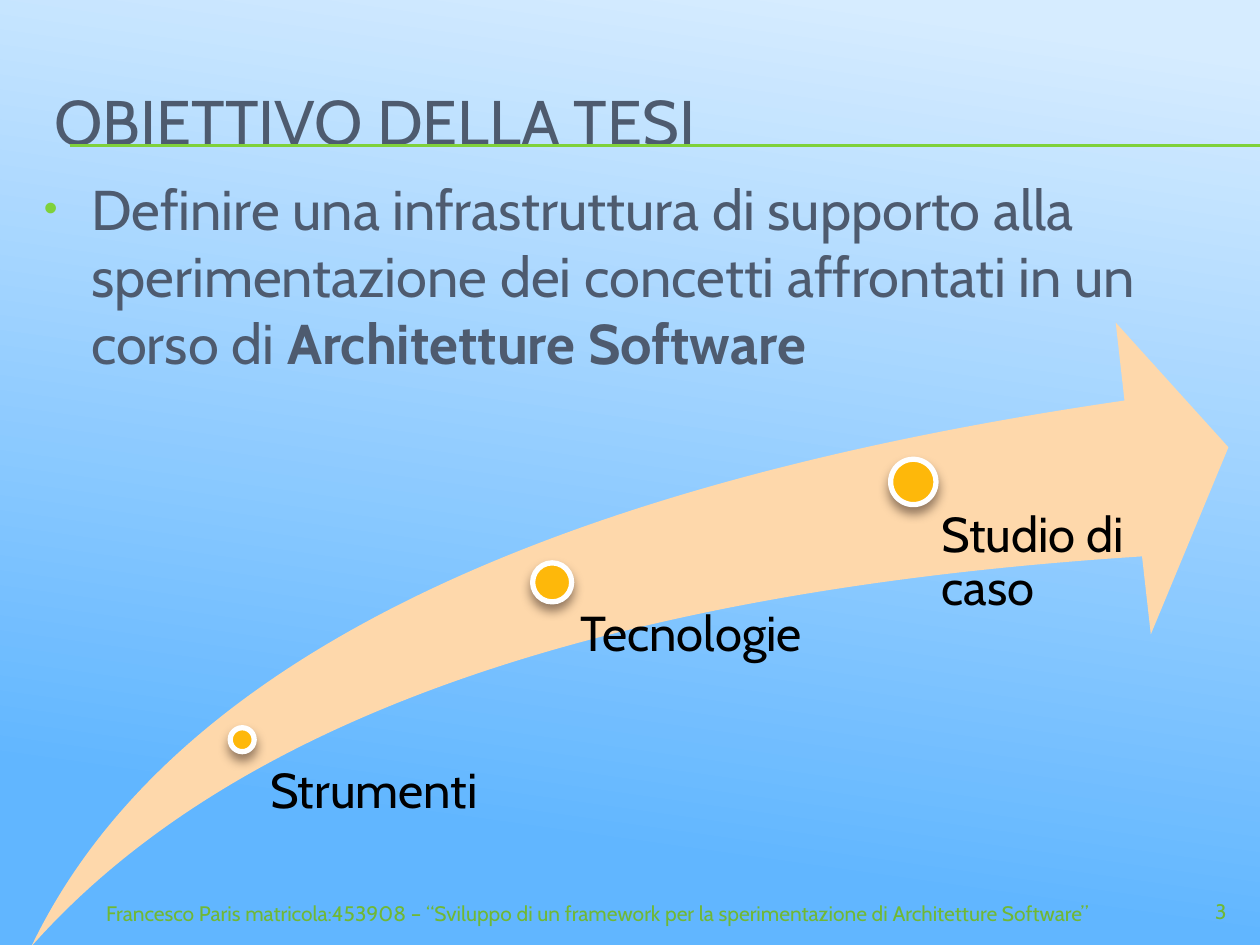
from lxml.etree import SubElement as Sub
from pptx import Presentation
from pptx.dml.color import RGBColor
from pptx.enum.shapes import MSO_CONNECTOR as Conn, MSO_SHAPE as Kind
from pptx.enum.text import MSO_ANCHOR as Anchor, PP_ALIGN as Align
from pptx.oxml.ns import qn
from pptx.util import Pt

FONT = "Cabin"
GREEN, SLATE, LEAF = "7FD13B", "4E5B6F", "70B834"
PEACH, AMBER, WHITE, BLACK = "FED8AB", "FEB80A", "FFFFFF", "000000"
# label, centre x, centre y, diameter
STEPS = [
    ("Strumenti", 138.4, 422.7, 13.7),
    ("Tecnologie", 315.5, 332.8, 22.3),
    ("Studio di caso", 521.9, 275.4, 25.9),
]


def hue(code):
    return RGBColor.from_string(code)


def style(para, size, color):
    font = para.font
    font.name, font.size = FONT, Pt(size)
    font.color.rgb = hue(color)


def paint(slide):
    fill = slide.background.fill
    fill.gradient()
    fill.gradient_angle = 82
    stops = [(0.16, "61B6FF"), (0.95, "D6ECFF")]
    for stop, (pos, color) in zip(fill.gradient_stops, stops):
        stop.position = pos
        stop.color.rgb = hue(color)


def add_rule(slide, y):
    rule = slide.shapes.add_connector(Conn.STRAIGHT, Pt(40), Pt(y), Pt(720), Pt(y))
    rule.line.color.rgb = hue(GREEN)
    rule.line.width = Pt(0.75)
    Sub(rule._element.spPr, qn("a:effectLst"))


def add_title(slide, text):
    title = slide.shapes.title
    title.left, title.top, title.width, title.height = Pt(24), Pt(36), Pt(684), Pt(66)
    frame = title.text_frame
    frame.text = text
    frame.vertical_anchor = Anchor.MIDDLE
    para = frame.paragraphs[0]
    para.alignment = Align.LEFT
    style(para, 36, SLATE)


def add_text(slide, area, text, size, color, align=Align.LEFT):
    box = slide.shapes.add_textbox(*map(Pt, area))
    frame = box.text_frame
    frame.word_wrap = True
    para = frame.paragraphs[0]
    para.text = text
    para.alignment = align
    style(para, size, color)
    return frame


def add_goal(slide, text, strong):
    para = add_text(slide, (18, 96, 684, 356), text, 32, SLATE).paragraphs[0]
    run = para.add_run()
    run.text = strong
    run.font.bold = True
    props = para._p.get_or_add_pPr()
    props.set("marL", str(Pt(27)))
    props.set("indent", str(Pt(-27)))
    # Bullet elements must come before the default run properties
    last = props.find(qn("a:defRPr"))
    tint = Sub(props, qn("a:buClr"))
    Sub(tint, qn("a:srgbClr"), val=GREEN)
    size = Sub(props, qn("a:buSzPct"), val="70000")
    face = Sub(props, qn("a:buFont"), typeface="Arial")
    sign = Sub(props, qn("a:buChar"), char="•")
    for item in (tint, size, face, sign):
        last.addprevious(item)


def add_solid(slide, kind, area, color):
    shape = slide.shapes.add_shape(kind, *map(Pt, area))
    shape.shadow.inherit = False
    shape.fill.solid()
    shape.fill.fore_color.rgb = hue(color)
    shape.line.fill.background()
    return shape


def add_glow(shape):
    """Drop a soft shadow straight below the shape."""
    list_ = shape._element.spPr.find(qn("a:effectLst"))
    drop = Sub(list_, qn("a:outerShdw"), blurRad=str(Pt(6)), dist=str(Pt(4)),
               dir="5400000", rotWithShape="0")
    tint = Sub(drop, qn("a:srgbClr"), val="4E3B30")
    Sub(tint, qn("a:alpha"), val="60000")


def add_step(slide, text, x, y, size):
    """Put a dot on (x, y) and a label whose corner is the dot's centre."""
    frame = add_text(slide, (x, y, 171, 93), text, 28, BLACK)
    frame.margin_left = frame.margin_right = Pt(16)
    frame.margin_top = frame.margin_bottom = Pt(16)
    frame.paragraphs[0].line_spacing = 0.9
    dot = add_solid(slide, Kind.OVAL, (x - size / 2, y - size / 2, size, size), AMBER)
    dot.line.color.rgb = hue(WHITE)
    dot.line.width = Pt(3)
    add_glow(dot)


def main():
    deck = Presentation()
    deck.slide_width, deck.slide_height = Pt(720), Pt(540)
    slide = deck.slides.add_slide(deck.slide_layouts[5])
    paint(slide)
    for y in (82.8, 83.5):
        add_rule(slide, y)
    add_title(slide, "OBIETTIVO DELLA TESI")
    add_goal(slide, "Definire una infrastruttura di supporto alla sperimentazione "
             "dei concetti affrontati in un corso di ", "Architetture Software")
    add_solid(slide, Kind.SWOOSH_ARROW, (18, 184.3, 684, 356.4), PEACH)
    for step in STEPS:
        add_step(slide, *step)
    add_text(slide, (648, 510, 60, 19.5), "3", 12, LEAF, Align.RIGHT)
    add_text(slide, (48, 511, 582, 30),
             "Francesco Paris matricola:453908 – “Sviluppo di un framework per la "
             "sperimentazione di Architetture Software”", 12, LEAF, Align.RIGHT)
    deck.save("out.pptx")


if __name__ == "__main__":
    main()
